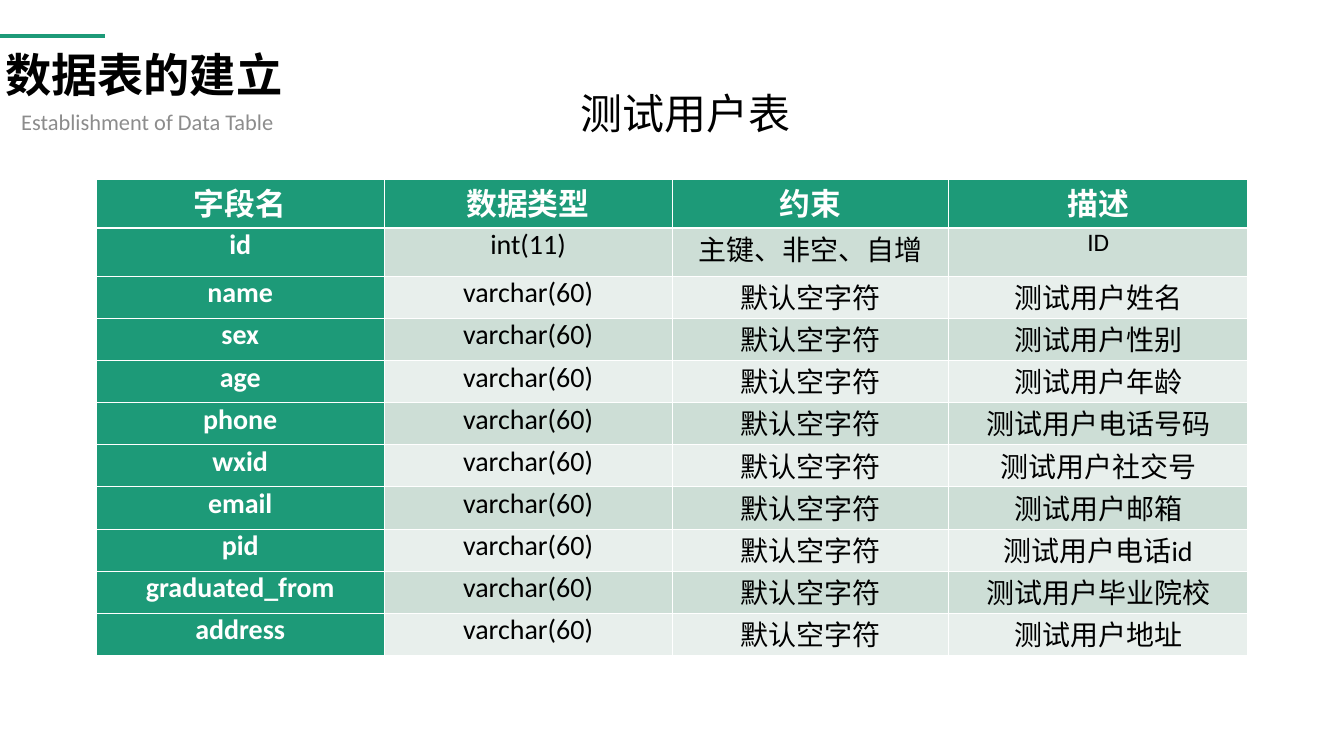
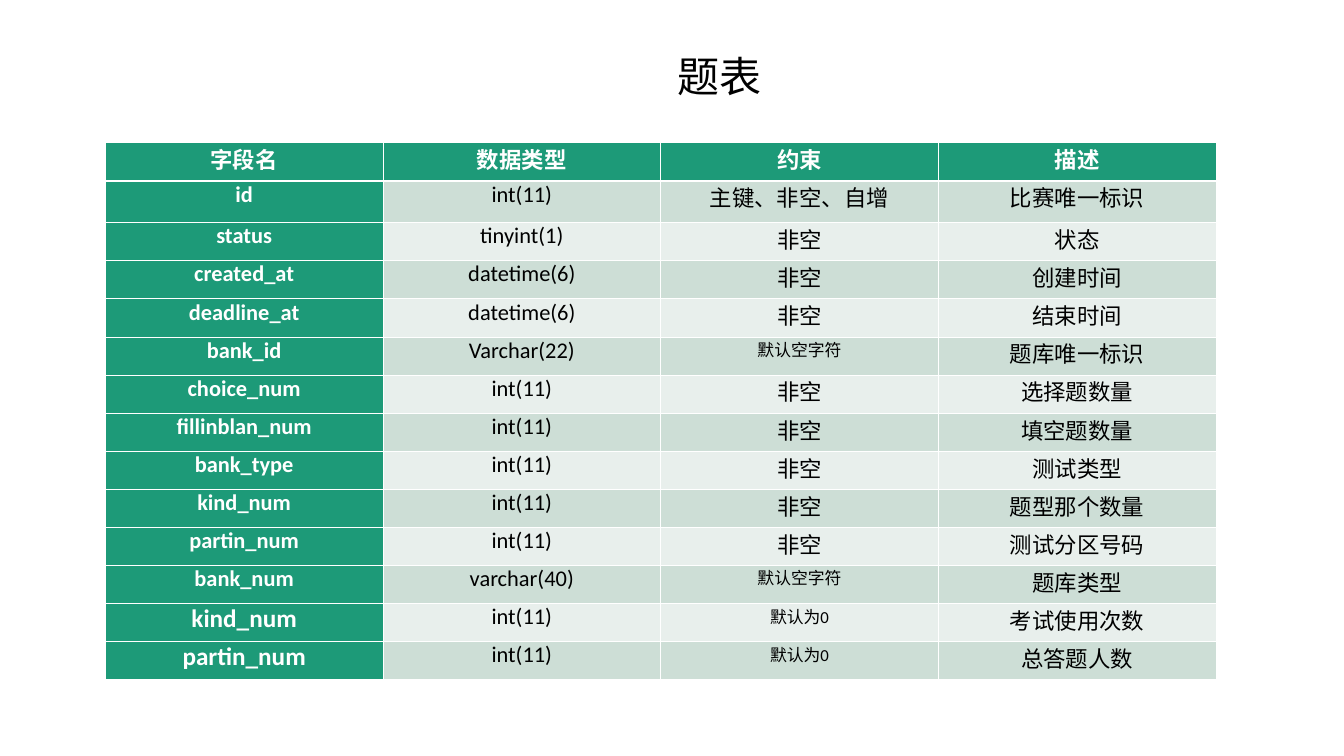
from pptx import Presentation
from pptx.dml.color import RGBColor
from pptx.enum.shapes import MSO_CONNECTOR
from pptx.enum.text import MSO_ANCHOR, MSO_AUTO_SIZE, PP_ALIGN
from pptx.oxml.ns import qn
from pptx.util import Inches, Pt
from lxml import etree

LEFT, CENTER = PP_ALIGN.LEFT, PP_ALIGN.CENTER
TOP, MIDDLE = MSO_ANCHOR.TOP, MSO_ANCHOR.MIDDLE
FIT, FIXED = MSO_AUTO_SIZE.SHAPE_TO_FIT_TEXT, MSO_AUTO_SIZE.NONE
LINE = MSO_CONNECTOR.STRAIGHT

FONT = "Calibri"
GREEN, WHITE, BLACK, GRAY = "1D9A78", "FFFFFF", "000000", "8C8C8C"
BANDS = ("CDDED6", "E8EFEC")

# Content
HEAD = ("字段名", "数据类型", "约束", "描述")
KEY, EMPTY, NEED, ZERO = "主键、非空、自增", "默认空字符", "非空", "默认为0"
INT, TEXT, DATE = "int(11)", "varchar(60)", "datetime(6)"

USERS = [HEAD, ("id", INT, KEY, "ID")] + [
    (name, TEXT, EMPTY, "测试用户" + note) for name, note in (
        ("name", "姓名"),
        ("sex", "性别"),
        ("age", "年龄"),
        ("phone", "电话号码"),
        ("wxid", "社交号"),
        ("email", "邮箱"),
        ("pid", "电话id"),
        ("graduated_from", "毕业院校"),
        ("address", "地址"),
    )]

QUIZ = [
    HEAD,
    ("id", INT, KEY, "比赛唯一标识"),
    ("status", "tinyint(1)", NEED, "状态"),
    ("created_at", DATE, NEED, "创建时间"),
    ("deadline_at", DATE, NEED, "结束时间"),
    ("bank_id", "Varchar(22)", EMPTY, "题库唯一标识"),
    ("choice_num", INT, NEED, "选择题数量"),
    ("fillinblan_num", INT, NEED, "填空题数量"),
    ("bank_type", INT, NEED, "测试类型"),
    ("kind_num", INT, NEED, "题型那个数量"),
    ("partin_num", INT, NEED, "测试分区号码"),
    ("bank_num", "varchar(40)", EMPTY, "题库类型"),
    ("kind_num", INT, ZERO, "考试使用次数"),
    ("partin_num", INT, ZERO, "总答题人数"),
]

# Cell sizes that differ from the table's size, by (row, column)
USER_SIZES = {(0, c): 44 for c in range(4)} | {(1, 3): 36}
QUIZ_SIZES = ({(r, 2): 24 for r in (5, 11, 12, 13)}
              | {(r, 0): 36 for r in (12, 13)})


def color(code):
    return RGBColor.from_string(code)


def style(par, size, tint, bold=False, align=LEFT):
    par.alignment = align
    for run in par.runs:
        font = run.font
        font.name, font.size, font.bold = FONT, Pt(size), bold
        font.color.rgb = color(tint)


def write(shape, box, text, size, tint=BLACK, bold=False,
          anchor=TOP, fit=FIXED, wrap=True):
    shape.left, shape.top, shape.width, shape.height = map(Inches, box)
    frame = shape.text_frame
    frame.text = text
    frame.word_wrap, frame.auto_size = wrap, fit
    frame.vertical_anchor = anchor
    style(frame.paragraphs[0], size, tint, bold)


def label(slide, box, *args, **opts):
    write(slide.shapes.add_textbox(0, 0, 0, 0), box, *args, **opts)


def edge(cell, side, width):
    line = etree.SubElement(cell._tc.get_or_add_tcPr(), qn("a:ln" + side),
                            w=str(Pt(width)))
    fill = etree.SubElement(line, qn("a:solidFill"))
    etree.SubElement(fill, qn("a:srgbClr"), val=WHITE)


def grid(slide, data, box, cols, tall, size, sizes):
    """Rows in tall have a set height; the others share what is left."""
    left, top, width, height = box
    table = slide.shapes.add_table(len(data), len(cols),
                                   *map(Inches, box)).table
    rest = (height - sum(tall.values())) / (len(data) - len(tall))
    for col, wide in zip(table.columns, cols):
        col.width = Inches(wide)
    for r, row in enumerate(data):
        table.rows[r].height = Inches(tall.get(r, rest))
        for c, text in enumerate(row):
            cell = table.cell(r, c)
            cell.margin_left = cell.margin_right = Inches(0.07)
            cell.margin_top = cell.margin_bottom = 0
            for side in "LRTB":
                thick = (r, side) in ((0, "B"), (1, "T"))
                edge(cell, side, 3 if thick else 1)
            key = r == 0 or c == 0
            cell.fill.solid()
            cell.fill.fore_color.rgb = color(GREEN if key
                                             else BANDS[(r - 1) % 2])
            cell.text_frame.text = text
            style(cell.text_frame.paragraphs[0], sizes.get((r, c), size),
                  WHITE if key else BLACK, key, CENTER)


def rule(slide, width, y):
    line = slide.shapes.add_connector(LINE, 0, Inches(y),
                                      Inches(width), Inches(y))
    line.line.color.rgb = color(GREEN)
    line.line.width = Pt(6)
    etree.SubElement(line._element.spPr, qn("a:effectLst"))


def main():
    deck = Presentation()
    deck.slide_width, deck.slide_height = Inches(26.66), Inches(15)
    users, quiz = (deck.slides.add_slide(deck.slide_layouts[5])
                   for _ in range(2))

    # User table
    write(users.shapes.title, (0, 1.06, 6.94, 0.81), "数据表的建立", 66,
          bold=True, anchor=MIDDLE)
    label(users, (0.32, 2, 6.94, 0.81), "Establishment of Data Table", 32,
          GRAY, anchor=MIDDLE)
    rule(users, 2.08, 0.72)
    label(users, (11.42, 1.69, 4.73, 1.11), "测试用户表", 60, fit=FIT)
    grid(users, USERS, (1.91, 3.56, 22.84, 9.44), (5.71, 5.71, 5.49, 5.93),
         {0: 0.96, 1: 0.96}, 40, USER_SIZES)

    # Question table
    write(quiz.shapes.title, (13.33, 0.96, 1.88, 1.11), "题表", 60,
          fit=FIT, wrap=False)
    grid(quiz, QUIZ, (2.09, 2.83, 22.03, 10.66), [22.03 / 4] * 4,
         {1: 0.83}, 32, QUIZ_SIZES)

    deck.save("out.pptx")


if __name__ == "__main__":
    main()
